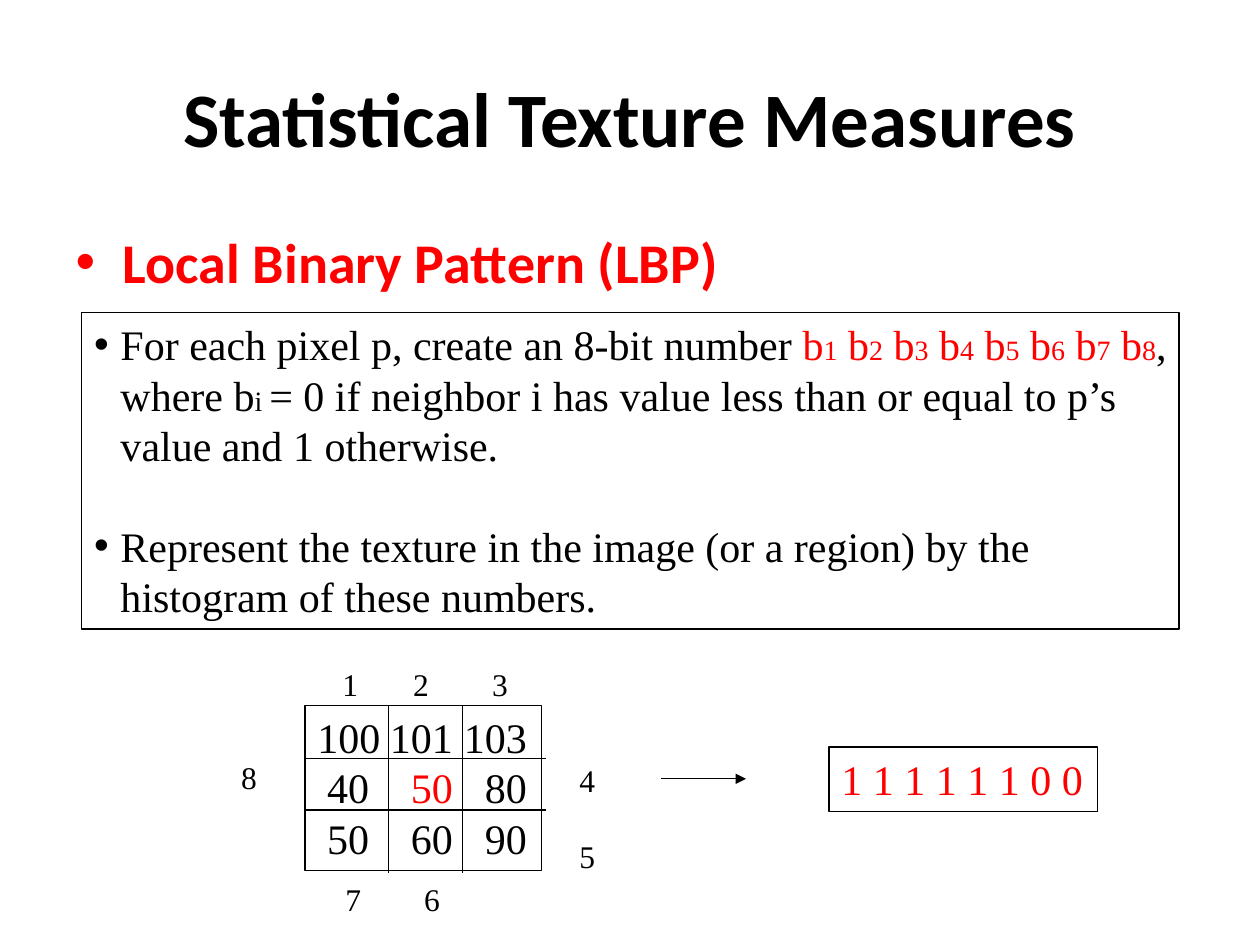
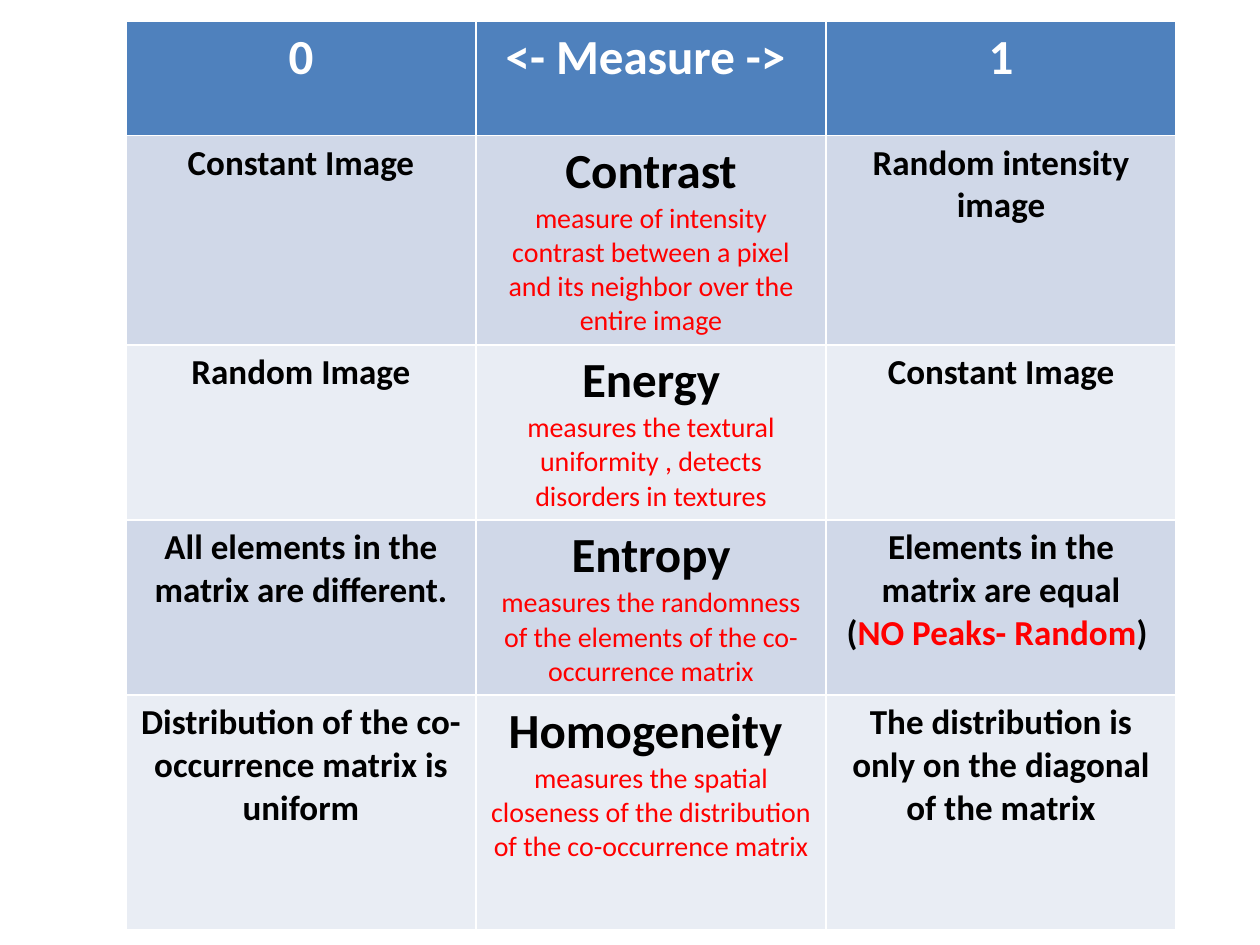
from pptx import Presentation
from pptx.dml.color import RGBColor
from pptx.enum.shapes import MSO_CONNECTOR as Connector, MSO_SHAPE as Shape
from pptx.enum.text import MSO_ANCHOR as Anchor, PP_ALIGN as Align
from pptx.oxml.ns import qn
from pptx.util import Cm, Pt
from lxml.etree import SubElement

BLACK = RGBColor(0x00, 0x00, 0x00)
WHITE = RGBColor(0xFF, 0xFF, 0xFF)
RED = RGBColor(0xFF, 0x00, 0x00)
HEADER_BLUE = RGBColor(0x4F, 0x81, 0xBD)
ROW_TINTS = (RGBColor(0xD0, 0xD8, 0xE8), RGBColor(0xE9, 0xED, 0xF4))
SANS = "Calibri"
SERIF = "Times New Roman"
LINE_WIDTH = Pt(0.75)

PIXEL_ROWS = ((100, 101, 103), (40, 50, 80), (50, 60, 90))
NEIGHBOR_CENTERS = {
    1: (0.91, -0.43), 2: (2.34, -0.43), 3: (3.93, -0.43),
    4: (5.69, 1.5), 5: (5.69, 3.03),
    6: (2.56, 3.9), 7: (0.97, 3.9), 8: (-1.13, 1.44),
}
MEASURES = (
    ("Constant Image", "Contrast",
     "measure of intensity contrast between a pixel and its neighbor over the entire image",
     "Random intensity image"),
    ("Random Image", "Energy",
     "measures the textural uniformity , detects disorders in textures",
     "Constant Image"),
    ("All elements in the matrix are different.", "Entropy",
     "measures the randomness of the elements of the co-occurrence matrix",
     "Elements in the matrix are equal"),
    ("Distribution of the co-occurrence matrix is uniform", "Homogeneity ",
     "measures the spatial closeness of the distribution of the co-occurrence matrix",
     "The distribution is only on the diagonal of the matrix"),
)
ROW_HEIGHTS = (2.3, 4.22, 3.53, 3.53, 4.73)


def style(font, size, color, name=SERIF, bold=False):
    font.name = name
    font.size = Pt(size)
    font.bold = bold
    font.color.rgb = color


def add_span(para, text, color=None, size=None):
    span = para.add_run()
    span.text = str(text)
    if color is not None:
        span.font.color.rgb = color
    if size is not None:
        span.font.size = Pt(size)


def add_frame(page, left, top, width, height):
    frame = page.shapes.add_shape(Shape.RECTANGLE, Cm(left), Cm(top), Cm(width), Cm(height))
    frame.shadow.inherit = False
    frame.fill.background()
    frame.line.color.rgb = BLACK
    frame.line.width = LINE_WIDTH
    frame.text_frame.word_wrap = True
    frame.text_frame.vertical_anchor = Anchor.TOP
    return frame.text_frame


def add_line(page, x1, y1, x2, y2, arrow=False):
    line = page.shapes.add_connector(Connector.STRAIGHT, Cm(x1), Cm(y1), Cm(x2), Cm(y2))
    line.line.color.rgb = BLACK
    line.line.width = LINE_WIDTH
    if arrow:
        SubElement(line.line._get_or_add_ln(), qn("a:tailEnd"), type="triangle")
    SubElement(line._element.spPr, qn("a:effectLst"))


def next_para(text_frame, index):
    return text_frame.paragraphs[0] if index == 0 else text_frame.add_paragraph()


def place_heading(page):
    title, body = page.placeholders
    for holder, top, height, text, size, color in (
        (title, 0.76, 3.18, "Statistical Texture Measures", 44, BLACK),
        (body, 4.45, 12.57, "Local Binary Pattern (LBP)", 32, RED),
    ):
        holder.left, holder.top = Cm(1.27), Cm(top)
        holder.width, holder.height = Cm(22.86), Cm(height)
        holder.text_frame.text = text
        style(holder.text_frame.paragraphs[0].font, size, color, SANS, True)
    body.text_frame.paragraphs[0].space_before = Pt(0)


def place_definition(page, left, top, width, height):
    text_frame = add_frame(page, left, top, width, height)
    text_frame.margin_right = Cm(0.1)
    rule, histogram = (next_para(text_frame, index) for index in range(2))
    for para in (rule, histogram):
        para.alignment = Align.LEFT
        properties = para._p.get_or_add_pPr()
        properties.set("marL", str(Cm(0.53)))
        properties.set("indent", str(-Cm(0.53)))
        SubElement(properties, qn("a:buFont"), typeface="Arial")
        SubElement(properties, qn("a:buChar"), char="•")
        style(para.font, 24, BLACK)
    histogram.space_before = Pt(28.8)

    add_span(rule, "For each pixel p, create an 8-bit number ")
    for bit in range(1, 9):
        add_span(rule, "b" if bit == 1 else " b", RED)
        add_span(rule, bit, RED, 16)
    add_span(rule, ", where b")
    add_span(rule, "i ", size=16)
    add_span(rule, "= 0 if neighbor i has value less than or equal to p’s value and 1 otherwise.")
    add_span(histogram, "Represent the texture in the image (or a region) by the histogram of these numbers.")


def place_pixel_grid(page, left, top, width, height):
    text_frame = add_frame(page, left, top, width, height)
    for row, values in enumerate(PIXEL_ROWS):
        para = next_para(text_frame, row)
        para.alignment = Align.LEFT
        tabs = SubElement(para._p.get_or_add_pPr(), qn("a:tabLst"))
        for position, align in ((0.62, "ctr"), (2.73, "r"), (4.22, "r")):
            SubElement(tabs, qn("a:tab"), pos=str(Cm(position)), algn=align)
        style(para.font, 24, BLACK)
        for column, value in enumerate(values):
            add_span(para, f"\t{value}", RED if row == column == 1 else None)

    for x in (1.68, 3.17):
        add_line(page, left + x, top, left + x, top + height + 0.05)
    for y in (1.07, 2.11):
        add_line(page, left, top + y, left + width + 0.08, top + y)

    size = 0.9
    for number, (x, y) in NEIGHBOR_CENTERS.items():
        label = page.shapes.add_textbox(
            Cm(left + x - size / 2), Cm(top + y - size / 2), Cm(size), Cm(size)).text_frame
        label.word_wrap = True
        label.vertical_anchor = Anchor.MIDDLE
        label.text = str(number)
        label.paragraphs[0].alignment = Align.CENTER
        style(label.paragraphs[0].font, 18, BLACK)


def place_result(page, left, top, width, height):
    add_line(page, left - 3.38, top + 0.64, left - 1.67, top + 0.64, arrow=True)
    text_frame = add_frame(page, left, top, width, height)
    text_frame.margin_right = Cm(0.1)
    text_frame.text = "1 1 1 1 1 1 0 0"
    text_frame.paragraphs[0].alignment = Align.LEFT
    style(text_frame.paragraphs[0].font, 24, RED)


def fill_cell(cell, tint, *lines):
    cell.fill.solid()
    cell.fill.fore_color.rgb = tint
    for index, (text, size, color, bold) in enumerate(lines):
        para = next_para(cell.text_frame, index)
        para.alignment = Align.CENTER
        add_span(para, text)
        style(para.runs[0].font, size, color, SANS, bold)


def place_measures(page, left, top, width, height):
    table = page.shapes.add_table(
        len(ROW_HEIGHTS), 3, Cm(left), Cm(top), Cm(width), Cm(height)).table
    for row, row_height in zip(table.rows, ROW_HEIGHTS):
        row.height = Cm(row_height)
    for column, text in enumerate(("0", "<- Measure -> ", "1")):
        fill_cell(table.cell(0, column), HEADER_BLUE, (text, 28, WHITE, True))
    for row, (low, name, meaning, high) in enumerate(MEASURES, 1):
        tint = ROW_TINTS[(row - 1) % 2]
        fill_cell(table.cell(row, 0), tint, (low, 20, BLACK, True))
        fill_cell(table.cell(row, 1), tint, (name, 28, BLACK, True), (meaning, 16, RED, False))
        fill_cell(table.cell(row, 2), tint, (high, 20, BLACK, True))

    note = table.cell(3, 2).text_frame.add_paragraph()
    note.alignment = Align.CENTER
    for text, color in (("(", BLACK), ("NO Peaks- Random", RED), (") ", BLACK)):
        add_span(note, text)
        style(note.runs[-1].font, 20, color, SANS, True)


def build_pattern_page(deck):
    page = deck.slides.add_slide(deck.slide_layouts[1])
    place_heading(page)
    place_definition(page, 1.65, 6.3, 22.12, 6.38)
    place_pixel_grid(page, 6.15, 14.22, 4.77, 3.33)
    place_result(page, 16.71, 15.06, 5.41, 1.3)


def build_measures_page(deck):
    page = deck.slides.add_slide(deck.slide_layouts[6])
    place_measures(page, 2.54, 0.43, 21.17, sum(ROW_HEIGHTS))


def main():
    deck = Presentation()
    deck.slide_width, deck.slide_height = Cm(25.4), Cm(19.05)
    build_pattern_page(deck)
    build_measures_page(deck)
    deck.save("out.pptx")


if __name__ == "__main__":
    main()
